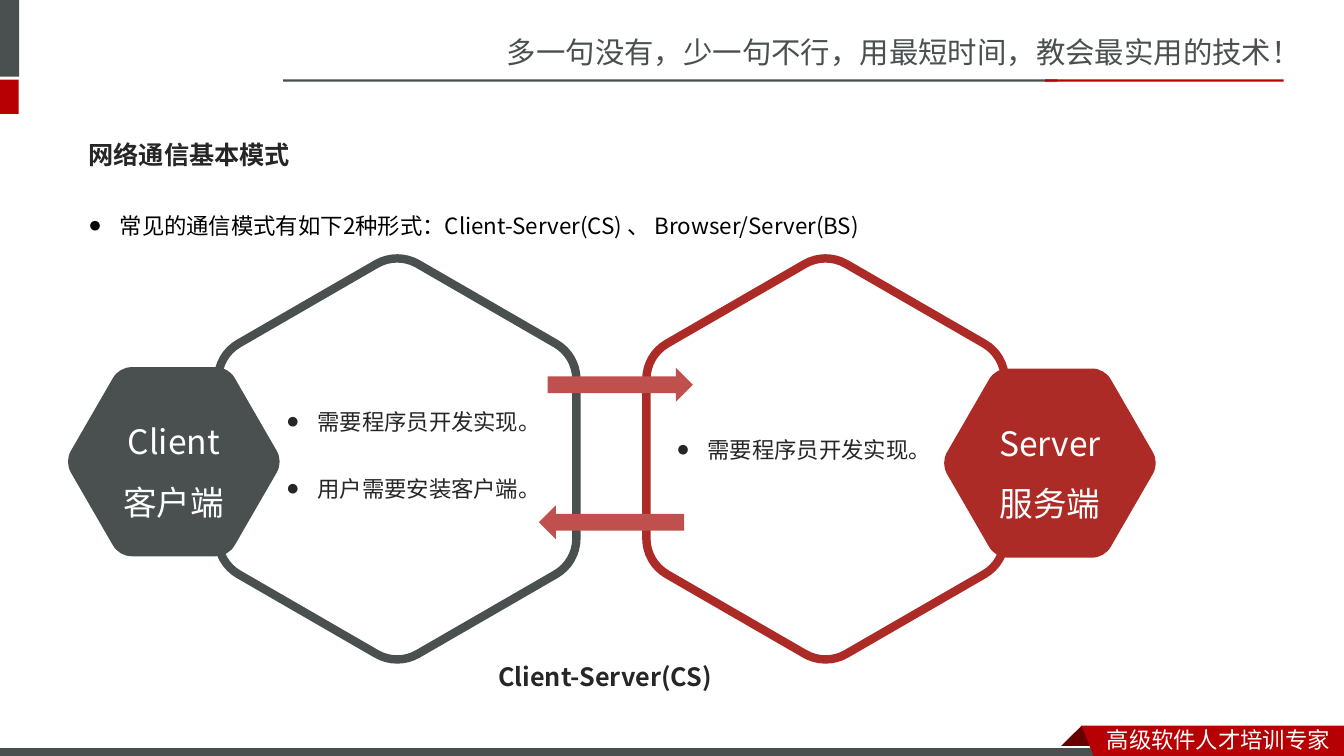
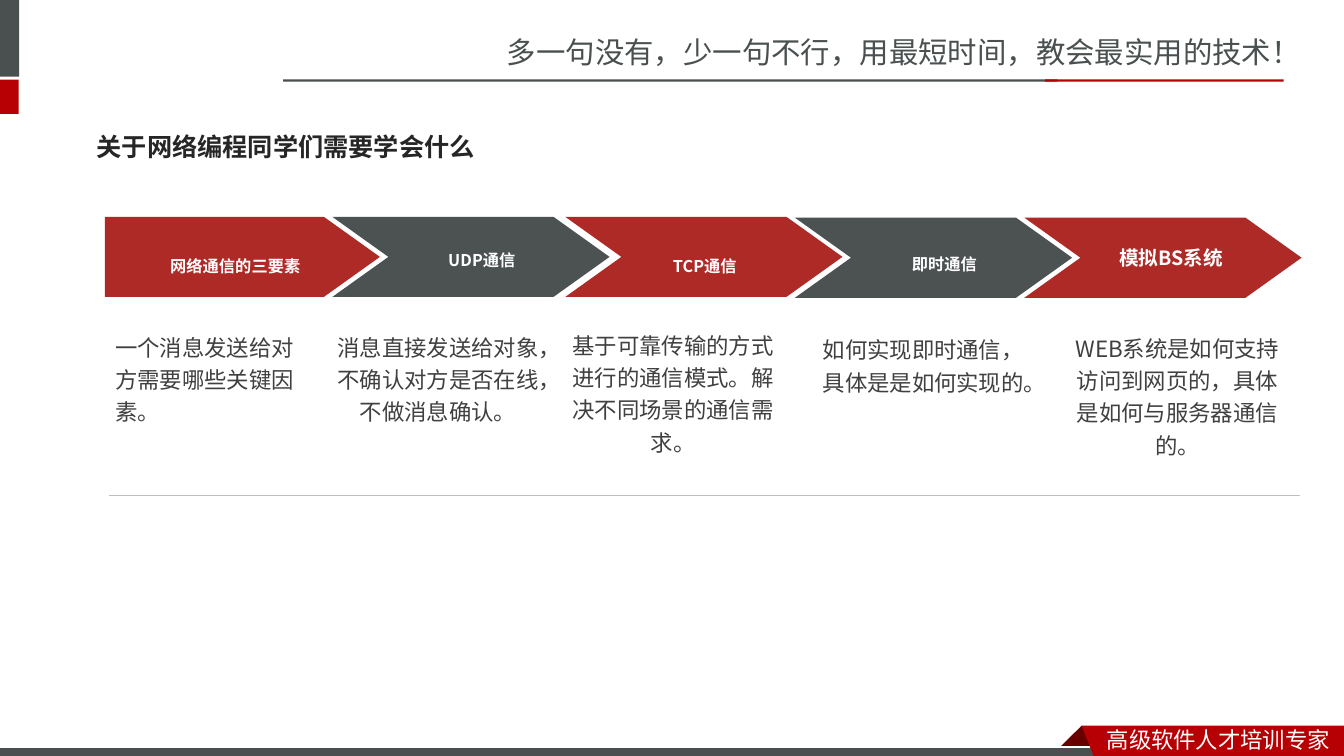
from itertools import count
from math import cos, radians, sin, tan

from lxml.etree import SubElement
from pptx import Presentation
from pptx.dml.color import RGBColor
from pptx.enum.lang import MSO_LANGUAGE_ID as LANG
from pptx.enum.shapes import MSO_CONNECTOR, MSO_SHAPE as SHAPE
from pptx.enum.text import MSO_ANCHOR as ANCHOR, MSO_AUTO_SIZE, PP_ALIGN as ALIGN
from pptx.oxml.ns import qn
from pptx.util import Pt

SLATE, STEEL = "49504F", "4C5252"
CRIMSON, BRICK, RED, MAROON, ROSE = "B60004", "AD2B26", "AD2A26", "680000", "C0504D"
INK, BODY_GREY, RULE_GREY, WHITE, BLACK = "262626", "404040", "BFBFBF", "FFFFFF", "000000"
FONT, FRAME_FONT, MONO = "Noto Sans CJK JP", "Noto Sans CJK SC", "DejaVu Sans Mono"

# Frame shared by all slides; boxes are left, top, width, height
SLOGAN = "多一句没有，少一句不行，用最短时间，教会最实用的技术！"
FOOTER = "高级软件人才培训专家"
BANDS = [
    ((-4.3, 0, 18, 54.7), SLATE),
    ((-4.3, 56.9, 17.6, 24.5), CRIMSON),
    ((202.3, 56.7, 553, 1.6), SLATE),
    ((746.6, 56.7, 170.4, 1.6), CRIMSON),
]
FOOTER_STRIP = (-0.7, 533.6, 792, 8.4)
RIBBON_FOLD = [(772.6, 518.4), (788.4, 534.2), (787.7, 535), (757.4, 535), (756.7, 534.2)]
RIBBON = [(772.6, 518.4), (960, 518.4), (960, 542.5), (782, 542.2)]

# Slide 1
MODES_TITLE = "网络通信基本模式"
MODES_INTRO = ["常见的通信模式有如下2种形式：Client-Server(CS) 、 Browser/Server(BS)"]
# colour, ring centre, badge centre, badge text, duties, duties box
SIDES = [
    (SLATE, (283.7, 327.8), (124.2, 329.8), ["Client", "客户端"],
     ["需要程序员开发实现。", "用户需要安装客户端。"], (197.3, 262.2, 208.8, 96.5)),
    (BRICK, (589.7, 327.8), (750, 330.8), ["Server", "服务端"],
     ["需要程序员开发实现。"], (476, 282.4, 198, 48.2)),
]
RING_RADIUS, BADGE_RADIUS = 147.8, 78
MESSAGES = [
    (SHAPE.RIGHT_ARROW, (391.2, 262.8, 103.7, 24)),
    (SHAPE.LEFT_ARROW, (385, 360.9, 103.7, 24.3)),
]
MODE_CAPTION = "Client-Server(CS)"

# Slide 2
TOPICS_TITLE = "关于网络编程同学们需要学会什么"
LOWERED = {"size": 20, "baseline": -3000}
# step left and top, label, label box, label style, description, description box, alignment
TOPICS = [
    (74.9, 154.9, "网络通信的三要素", (73.8, 170.6, 188.6, 25.9), {**LOWERED, "spacing": 1.2},
     "一个消息发送给对方需要哪些关键因素。", (75.3, 231.3, 152.6, 75.6), ALIGN.LEFT),
    (237.4, 154.9, "UDP通信", (260.3, 170.1, 167.8, 23.8), LOWERED,
     "消息直接发送给对象，不确认对方是否在线，不做消息确认。",
     (230.2, 231.3, 165.6, 75.6), ALIGN.CENTER),
    (403.8, 154.9, "TCP通信", (378.6, 170.6, 249.8, 25.9), {**LOWERED, "spacing": 1.2},
     "基于可靠传输的方式进行的通信模式。解决不同场景的通信需求。",
     (398, 229.9, 165.6, 99.4), ALIGN.CENTER),
    (567.8, 155.5, "即时通信", (598.3, 172.4, 152.6, 23.8), LOWERED,
     "如何实现即时通信，具体是是如何实现的。", (576.7, 233, 165.6, 52.6), ALIGN.CENTER),
    (731.7, 155.5, "模拟BS系统", (752.6, 169.2, 167.8, 26.6), {"size": 14, "spacing": 1.2},
     "WEB系统是如何支持访问到网页的，具体是如何与服务器通信的。",
     (758.2, 232, 165.6, 99.4), ALIGN.CENTER),
]
STEP_WIDTH, STEP_HEIGHT, STEP_POINT = 198, 57.2, 0.7


def rgb(value):
    return RGBColor.from_string(value)


def pts(values):
    return [Pt(value) for value in values]


def write(frame, lines, size, color, font=FONT, bold=False, align=ALIGN.LEFT,
          anchor=ANCHOR.TOP, spacing=1.0, before=0, bullet=None, baseline=None):
    """Put the lines into a text frame, one paragraph each, and format them."""
    frame.text = "\n".join(lines)
    frame.word_wrap = True
    frame.auto_size = MSO_AUTO_SIZE.NONE
    frame.vertical_anchor = anchor
    for paragraph in frame.paragraphs:
        paragraph.alignment = align
        paragraph.line_spacing = spacing
        paragraph.space_before = Pt(before)
        if bullet:
            props = paragraph._p.get_or_add_pPr()
            props.set("marL", str(Pt(22.4)))
            props.set("indent", str(-Pt(22.4)))
            SubElement(props, qn("a:buFont")).set("typeface", "Arial")
            SubElement(props, qn("a:buChar")).set("char", bullet)
        for run in paragraph.runs:
            run.font.size, run.font.bold, run.font.name = Pt(size), bold, font
            run.font.color.rgb = rgb(color)
            run.font.language_id = LANG.SIMPLIFIED_CHINESE
            props = run._r.get_or_add_rPr()
            SubElement(props, qn("a:ea")).set("typeface", font)
            if baseline:
                props.set("baseline", str(baseline))


def add_text(slide, box, lines, size, color, **style):
    textbox = slide.shapes.add_textbox(*pts(box))
    write(textbox.text_frame, lines, size, color, **style)
    return textbox


def fill_placeholder(placeholder, box, lines, size, color, **style):
    placeholder.left, placeholder.top, placeholder.width, placeholder.height = pts(box)
    write(placeholder.text_frame, lines, size, color, **style)


def paint(shape, fill, line=None, width=0):
    shape.shadow.inherit = False
    shape.fill.solid()
    shape.fill.fore_color.rgb = rgb(fill)
    if line:
        shape.line.color.rgb = rgb(line)
        shape.line.width = Pt(width)
    else:
        shape.line.fill.background()
    return shape


def add_preset(slide, preset, box, *colors):
    return paint(slide.shapes.add_shape(preset, *pts(box)), *colors)


def add_polygon(slide, points, *colors):
    corners = [tuple(pts(point)) for point in points]
    builder = slide.shapes.build_freeform(*corners[0])
    builder.add_line_segments(corners[1:], close=True)
    return paint(builder.convert_to_shape(), *colors)


def add_rounded_hexagon(slide, center, radius, first_angle, *colors):
    """Draw a hexagon whose corners are curves with a fifth of its radius."""
    corner = radius / 5
    reach = radius - corner / cos(radians(30))
    handle = corner * 4 / 3 * tan(radians(15))
    points = []
    for vertex in range(first_angle, first_angle + 360, 60):
        # start, two handles and end of the curve: turn from the vertex, distance along the tangent
        for turn, shift in ((-30, 0), (-30, handle), (30, -handle), (30, 0)):
            angle = radians(vertex + turn)
            points.append((
                center[0] + reach * cos(radians(vertex)) + corner * cos(angle) - shift * sin(angle),
                center[1] + reach * sin(radians(vertex)) + corner * sin(angle) + shift * cos(angle),
            ))
    hexagon = add_polygon(slide, points, *colors)
    segments = hexagon.element.xpath(".//a:lnTo")
    for start in range(0, len(points), 4):
        first, second, end = segments[start:start + 3]
        curve = first.makeelement(qn("a:cubicBezTo"))
        first.addprevious(curve)
        for segment in (first, second, end):
            curve.append(segment[0])
            segment.getparent().remove(segment)
    return hexagon


def build_frame(master, slide):
    """Draw the shared frame on a slide, then move it to the master."""
    frame = [add_text(slide, (355, 20.6, 605.5, 33.8), [SLOGAN], 21, SLATE, font=FRAME_FONT)]
    frame += [add_preset(slide, SHAPE.RECTANGLE, box, color) for box, color in BANDS]
    frame += [
        add_polygon(slide, RIBBON_FOLD, MAROON),
        add_preset(slide, SHAPE.RECTANGLE, FOOTER_STRIP, SLATE, WHITE, 0.75),
        add_polygon(slide, RIBBON, CRIMSON),
        add_text(slide, (783.4, 514.8, 176.4, 26.6), [FOOTER], 16, WHITE, font=FRAME_FONT),
    ]
    for number, part in zip(count(101), frame):
        part.element.xpath(".//p:cNvPr")[0].set("id", str(number))
        master.shapes.element.append(part.element)


def build_modes(slide):
    heading = {"bold": True, "spacing": 2.5, "before": 3.6}
    bullets = {"spacing": 2.5, "bullet": "●"}
    fill_placeholder(slide.shapes.title, (56, 73.7, 846.7, 41), [MODES_TITLE], 18, INK,
                     anchor=ANCHOR.MIDDLE, **heading)
    fill_placeholder(slide.placeholders[1], (55.9, 118.8, 636.5, 48.2), MODES_INTRO, 16, BLACK,
                     **bullets)
    for color, ring_center, *_ in SIDES:
        add_rounded_hexagon(slide, ring_center, RING_RADIUS, 30, WHITE, color, 6)
    for color, _, badge_center, name, duties, duties_box in SIDES:
        badge = add_rounded_hexagon(slide, badge_center, BADGE_RADIUS, 0, color)
        write(badge.text_frame, name, 24, WHITE, align=ALIGN.CENTER,
              anchor=ANCHOR.MIDDLE, spacing=1.5)
        add_text(slide, duties_box, duties, 16, INK, anchor=ANCHOR.MIDDLE, **bullets)
    for arrow, box in MESSAGES:
        add_preset(slide, arrow, box, ROSE)
    add_text(slide, (348.8, 436.3, 497.5, 53.3), [MODE_CAPTION], 18, INK, **heading)


def build_topics(slide):
    fill_placeholder(slide.shapes.title, (61.9, 84.2, 293.8, 41), [TOPICS_TITLE], 18, INK,
                     font=MONO, bold=True, anchor=ANCHOR.MIDDLE, before=3.6)
    for index, topic in enumerate(TOPICS):
        left, top, label, label_box, label_style, description, box, align = topic
        step = add_preset(slide, SHAPE.CHEVRON if index else SHAPE.PENTAGON,
                          (left, top, STEP_WIDTH if index else STEP_WIDTH - 1.5, STEP_HEIGHT),
                          STEEL if index % 2 else RED)
        step.adjustments[0] = STEP_POINT
        add_text(slide, label_box, [label], color=WHITE, bold=True, align=ALIGN.CENTER,
                 anchor=ANCHOR.MIDDLE, **label_style)
        add_text(slide, box, [description], 16, BODY_GREY, align=align, spacing=1.2)
    rule = slide.shapes.add_connector(MSO_CONNECTOR.STRAIGHT, *pts((77.8, 353.5, 928.8, 353.5)))
    rule.line.color.rgb = rgb(RULE_GREY)
    rule.line.width = Pt(0.25)
    SubElement(rule.element.spPr, qn("a:effectLst"))


def main():
    deck = Presentation()
    deck.slide_width, deck.slide_height = Pt(960), Pt(540)
    modes = deck.slides.add_slide(deck.slide_layouts.get_by_name("Title and Content"))
    build_frame(deck.slide_master, modes)
    build_modes(modes)
    build_topics(deck.slides.add_slide(deck.slide_layouts.get_by_name("Title Only")))
    deck.save("out.pptx")


if __name__ == "__main__":
    main()
